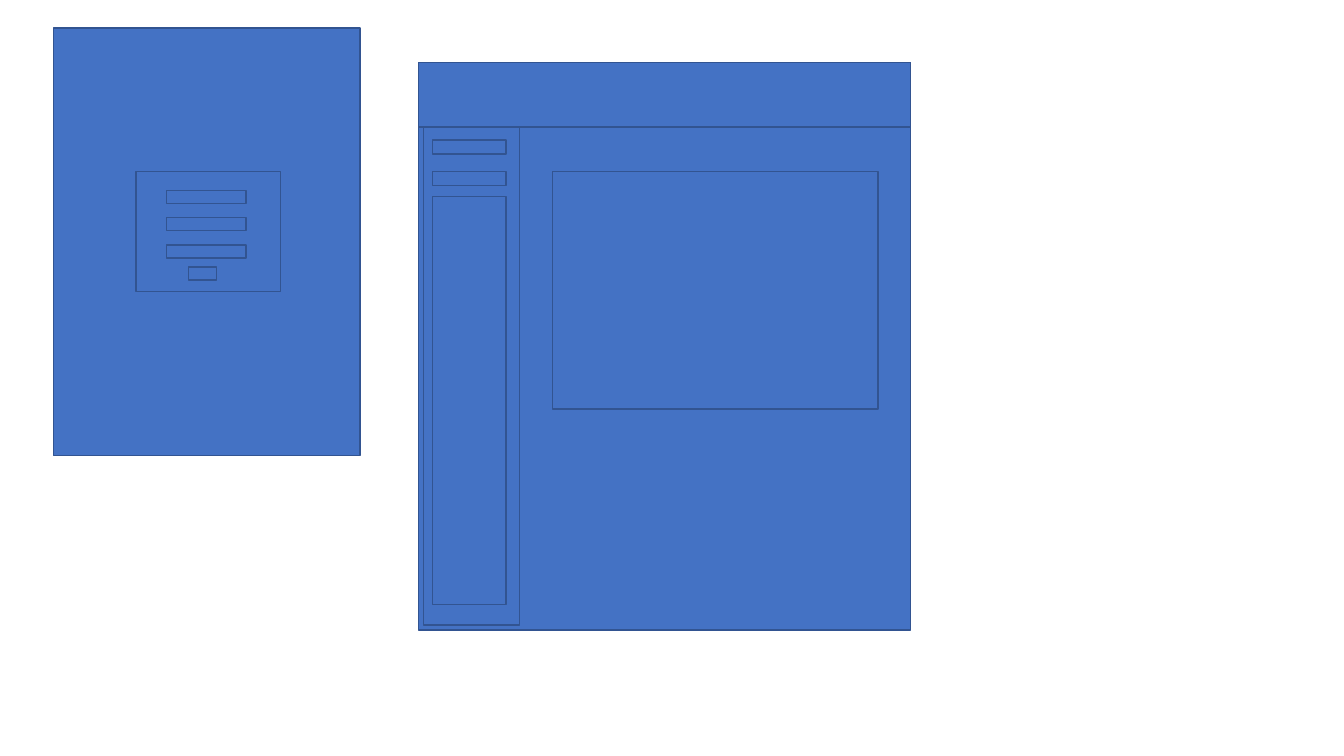
"""Build a wireframe slide with a login page and a dashboard page."""
from dataclasses import dataclass

from pptx import Presentation
from pptx import util as u
from pptx.dml import color
from pptx.enum import shapes


@dataclass(frozen=True)
class Theme:
    fill: str = "4472C4"
    line: str = "325491"
    line_width: float = 1


class Wireframe:
    def __init__(self, slide, theme):
        self.slide = slide
        self.theme = theme

    def box(self, left, top, width, height):
        shape = self.slide.shapes.add_shape(
            shapes.MSO_SHAPE.RECTANGLE,
            u.Inches(left), u.Inches(top), u.Inches(width), u.Inches(height))
        shape.shadow.inherit = False
        shape.fill.solid()
        shape.fill.fore_color.rgb = color.RGBColor.from_string(self.theme.fill)
        shape.line.color.rgb = color.RGBColor.from_string(self.theme.line)
        shape.line.width = u.Pt(self.theme.line_width)
        return shape


def draw_dashboard(wireframe):
    left, top, width = 4.15, 0.62, 4.88
    header_height = 0.64
    wireframe.box(left, top, width, 5.63)
    wireframe.box(left, top, width, header_height)
    wireframe.box(5.48, 1.7, 3.23, 2.36)
    wireframe.box(4.2, top + header_height, 0.95, 4.94)
    for item_top, item_height in ((1.39, 0.14), (1.7, 0.14), (1.95, 4.05)):
        wireframe.box(4.29, item_top, 0.73, item_height)


def draw_login(wireframe):
    field_height = 0.13
    wireframe.box(0.53, 0.28, 3.04, 4.24)
    wireframe.box(1.35, 1.7, 1.43, 1.19)
    for row in range(3):
        wireframe.box(1.65, 1.89 + row * 0.27, 0.79, field_height)
    wireframe.box(1.87, 2.65, 0.28, field_height)


presentation = Presentation()
presentation.slide_width = u.Inches(13.33)
presentation.slide_height = u.Inches(7.5)
blank_layout = presentation.slide_layouts[6]
wireframe = Wireframe(presentation.slides.add_slide(blank_layout), Theme())
draw_dashboard(wireframe)
draw_login(wireframe)
presentation.save("out.pptx")
